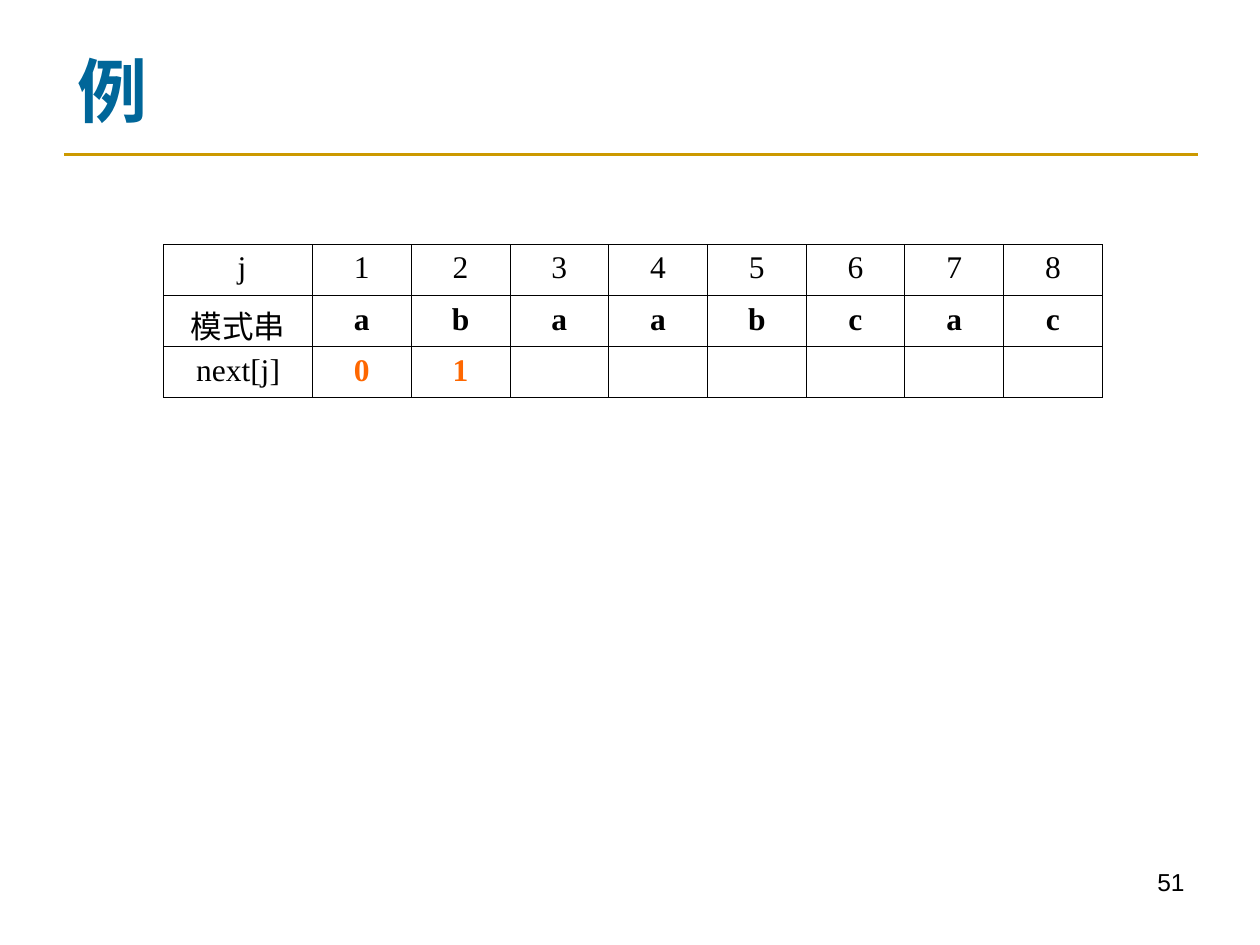
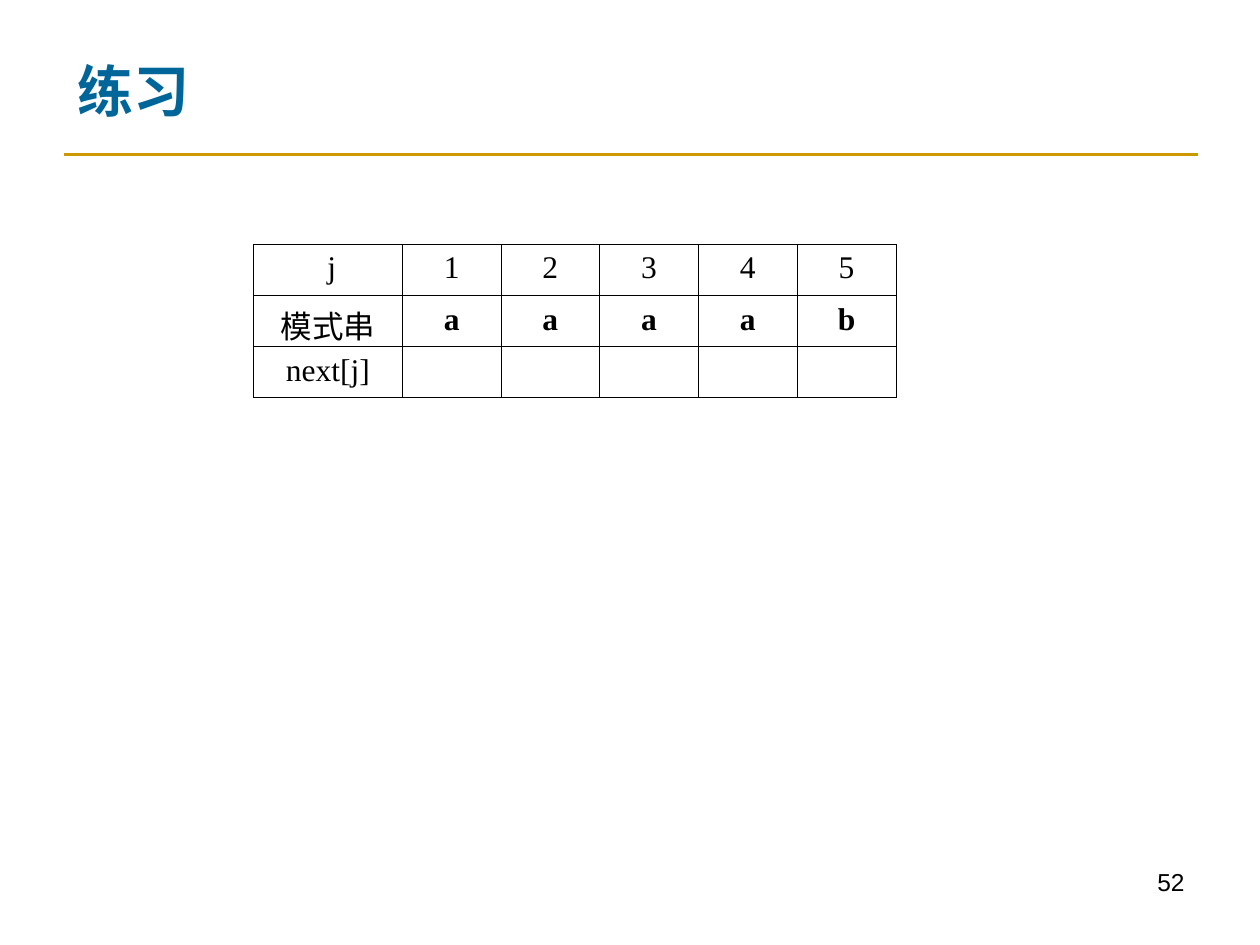
from dataclasses import dataclass

from lxml import etree
from pptx import Presentation
from pptx.dml.color import RGBColor
from pptx.enum.shapes import MSO_CONNECTOR
from pptx.enum.text import MSO_ANCHOR, PP_ALIGN
from pptx.oxml.ns import qn
from pptx.util import Cm, Pt

STRAIGHT = MSO_CONNECTOR.STRAIGHT
LEFT, CENTER, RIGHT = PP_ALIGN.LEFT, PP_ALIGN.CENTER, PP_ALIGN.RIGHT
MIDDLE = MSO_ANCHOR.MIDDLE
TITLE_ONLY = 5


@dataclass(frozen=True)
class Theme:
    title: str = "006699"
    rule: str = "CC9900"
    text: str = "000000"
    answer: str = "FE6700"
    serif: str = "Times New Roman"
    sans: str = "Arial"
    title_size: int = 40
    small_title_size: int = 32
    cell_size: int = 18
    number_size: int = 14
    rule_width: float = 1.5
    border_width: float = 0.45


class Deck:
    def __init__(self, theme):
        self.theme = theme
        self.prs = Presentation()
        self.prs.slide_width, self.prs.slide_height = Cm(25.4), Cm(19.05)
        self.s = None

    def add_slide(self, title, title_size, number):
        self.s = self.prs.slides.add_slide(self.prs.slide_layouts[TITLE_ONLY])
        self.rule()
        self.title(title, title_size)
        self.number(number)

    def run(self, p, text, size, color, font, bold=False):
        r = p.add_run()
        r.text = text
        r.font.size = Pt(size)
        r.font.name = font
        r.font.bold = bold
        r.font.color.rgb = RGBColor.from_string(color)

    def rule(self):
        line = self.s.shapes.add_connector(STRAIGHT, Cm(1.3), Cm(3.12), Cm(24.15), Cm(3.12))
        line.line.color.rgb = RGBColor.from_string(self.theme.rule)
        line.line.width = Pt(self.theme.rule_width)
        etree.SubElement(line.element.spPr, qn("a:effectLst"))

    def title(self, text, size):
        sp = self.s.shapes.title
        sp.left, sp.top, sp.width, sp.height = Cm(1.3), Cm(0.71), Cm(22.86), Cm(2.2)
        tf = sp.text_frame
        tf.vertical_anchor = MIDDLE
        p = tf.paragraphs[0]
        p.alignment = LEFT
        self.run(p, text, size, self.theme.title, self.theme.serif, True)

    def number(self, value):
        sp = self.s.shapes.add_textbox(Cm(18.2), Cm(17.35), Cm(5.93), Cm(1.32))
        tf = sp.text_frame
        tf.word_wrap = True
        p = tf.paragraphs[0]
        p.alignment = RIGHT
        self.run(p, str(value), self.theme.number_size, self.theme.text, self.theme.sans)

    def borders(self, cell):
        tc_pr = cell._tc.get_or_add_tcPr()
        for side in ("a:lnL", "a:lnR", "a:lnT", "a:lnB"):
            ln = etree.SubElement(tc_pr, qn(side), w=str(Pt(self.theme.border_width)))
            fill = etree.SubElement(ln, qn("a:solidFill"))
            etree.SubElement(fill, qn("a:srgbClr"), val=self.theme.text)

    def cell(self, cell, text, color, bold):
        self.borders(cell)
        cell.fill.background()
        p = cell.text_frame.paragraphs[0]
        p.alignment = CENTER
        if text:
            self.run(p, text, self.theme.cell_size, color, self.theme.serif, bold)
        else:
            p.font.size = Pt(self.theme.cell_size)

    def next_table(self, left, pattern, answers=""):
        n = len(pattern)
        label_width, column_width, row_height = Cm(3), Cm(1.99), Cm(1.03)
        rows = (
            (" j", [str(j) for j in range(1, n + 1)], self.theme.text, False),
            ("模式串", pattern, self.theme.text, True),
            ("next[j]", answers.ljust(n), self.theme.answer, True),
        )
        frame = self.s.shapes.add_table(
            len(rows), n + 1, left, Cm(4.93),
            label_width + n * column_width, len(rows) * row_height)
        table = frame.table
        table.first_row = table.horz_banding = False
        for i, column in enumerate(table.columns):
            column.width = column_width if i else label_width
        for i, (label, values, color, bold) in enumerate(rows):
            table.rows[i].height = row_height
            self.cell(table.cell(i, 0), label, self.theme.text, False)
            for j, value in enumerate(values, 1):
                self.cell(table.cell(i, j), value.strip(), color, bold)


def main():
    theme = Theme()
    deck = Deck(theme)
    deck.add_slide("例", theme.title_size, 51)
    deck.next_table(Cm(3.3), "abaabcac", "01")
    deck.add_slide("练习", theme.small_title_size, 52)
    deck.next_table(Cm(5.11), "aaaab")
    deck.prs.save("out.pptx")


if __name__ == "__main__":
    main()
